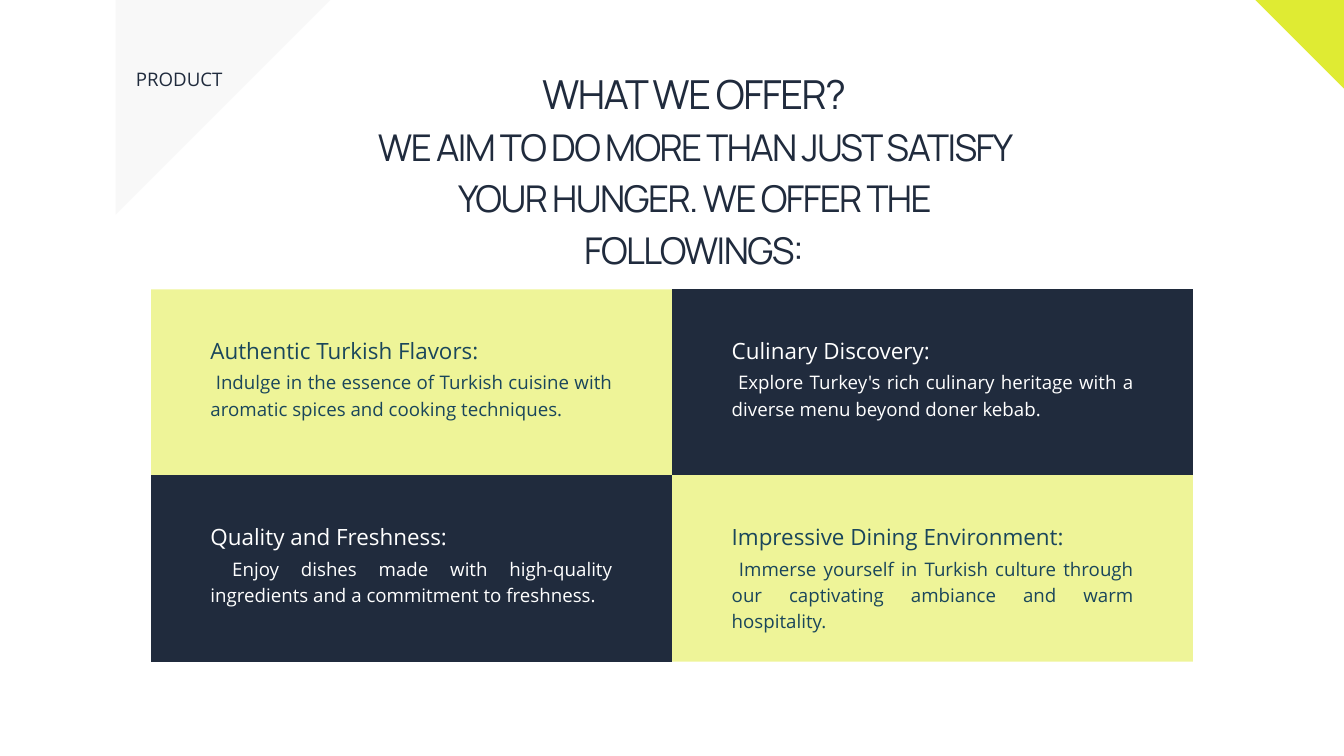
import dataclasses
import pptx
import pptx.util
import pptx.dml.color
import pptx.enum.text
import pptx.oxml.ns
import lxml.etree

Pt = pptx.util.Pt
Align = pptx.enum.text.PP_ALIGN


@dataclasses.dataclass
class Theme:
    navy: str = "202B3D"
    teal: str = "1A465B"
    lime: str = "DFEB33"
    gray: str = "545454"
    white: str = "FFFFFF"
    head_font: str = "Manrope"
    text_font: str = "Open Sans"
    title: float = 42.8
    lead: float = 39.5
    head: float = 24
    text: float = 20
    leading: float = 1.4
    tight: int = -170  # letter spacing of the title, 1/100 pt


class Deck:
    def __init__(self, theme):
        self.theme = theme
        self.file = pptx.Presentation()
        self.file.slide_width, self.file.slide_height = Pt(1440), Pt(810)
        self.slide = self.file.slides.add_slide(self.file.slide_layouts[5])

    def shape(self, points, color, alpha=100):
        """Draw a filled polygon; alpha is its opacity in percent."""
        pen = self.slide.shapes.build_freeform(*points[0], scale=Pt(1))
        pen.add_line_segments(points[1:], close=True)
        shape = pen.convert_to_shape()
        shape.shadow.inherit = False
        shape.line.fill.background()
        shape.fill.solid()
        shape.fill.fore_color.rgb = pptx.dml.color.RGBColor.from_string(color)
        if alpha < 100:
            tag = pptx.oxml.ns.qn("a:srgbClr")
            node = next(shape.fill._xPr.iter(tag))
            lxml.etree.SubElement(node, pptx.oxml.ns.qn("a:alpha"), val=str(alpha * 1000))

    def frame(self, shape):
        frame = shape.text_frame
        frame.margin_left = frame.margin_right = 0
        frame.margin_top = frame.margin_bottom = 0
        frame.word_wrap = True
        frame.auto_size = pptx.enum.text.MSO_AUTO_SIZE.NONE
        frame.vertical_anchor = pptx.enum.text.MSO_ANCHOR.TOP
        return frame

    def style(self, para, size, color, font, align):
        para.alignment = align
        para.line_spacing = Pt(round(size * self.theme.leading, 1))
        para.space_before = Pt(0)
        for run in para.runs:
            run.font.size = Pt(size)
            run.font.name = font
            run.font.color.rgb = pptx.dml.color.RGBColor.from_string(color)

    def label(self, text, left, top, width, height, size, color, align=Align.LEFT):
        box = self.slide.shapes.add_textbox(Pt(left), Pt(top), Pt(width), Pt(height))
        frame = self.frame(box)
        frame.text = text
        self.style(frame.paragraphs[0], size, color, self.theme.text_font, align)

    def title(self, lines, left, top, width, height):
        """Fill the title placeholder; lines pairs each text with its size."""
        box = self.slide.shapes.title
        box.left, box.top, box.width, box.height = map(Pt, (left, top, width, height))
        frame = self.frame(box)
        frame.text = "\n".join(text for text, size in lines)
        for para, (text, size) in zip(frame.paragraphs, lines):
            self.style(para, size, self.theme.navy, self.theme.head_font, Align.CENTER)
            for run in para.runs:
                run.font._element.set("spc", str(self.theme.tight))

    def card(self, left, top, width, height, head, text, dark):
        theme = self.theme
        right, base = left + width, top + height
        corners = [(left, top), (right, top), (right, base), (left, base)]
        self.shape(corners, theme.navy if dark else theme.lime, 100 if dark else 50)
        color = theme.white if dark else theme.teal
        inset = left + 64
        self.label(text, inset, top + 84.2, 430.5, 84, theme.text, color, Align.JUSTIFY)
        self.label(head, inset, top + 46.8, 404, 31, theme.head, color)


def main():
    theme = Theme()
    deck = Deck(theme)
    deck.shape([(124.5, -39.5), (394, -39.5), (124.5, 230)], theme.gray, 4)
    deck.label("PRODUCT", 145.5, 68.4, 186, 27, theme.text, theme.navy)
    deck.shape([(1345, 0), (1440.5, 0), (1440.5, 95)], theme.lime)

    cards = [
        ("Authentic Turkish Flavors:",
         " Indulge in the essence of Turkish cuisine with aromatic spices and cooking techniques."),
        ("Culinary Discovery:",
         " Explore Turkey's rich culinary heritage with a diverse menu beyond doner kebab."),
        ("Quality and Freshness:",
         " Enjoy dishes made with high-quality ingredients and a commitment to freshness."),
        ("Impressive Dining Environment:",
         " Immerse yourself in Turkish culture through our captivating ambiance and warm hospitality."),
    ]
    width, height = 558.5, 199.5
    for index, (head, text) in enumerate(cards):
        row, col = divmod(index, 2)
        deck.card(161.5 + col * width, 309.6 + row * height, width, height,
                  head, text, dark=row != col)

    deck.title([
        ("WHAT WE OFFER?", theme.title),
        ("WE AIM TO DO MORE THAN JUST SATISFY YOUR HUNGER. WE OFFER THE FOLLOWINGS:", theme.lead),
    ], 393.8, 65.5, 699.8, 222.5)
    deck.file.save("out.pptx")


if __name__ == "__main__":
    main()
